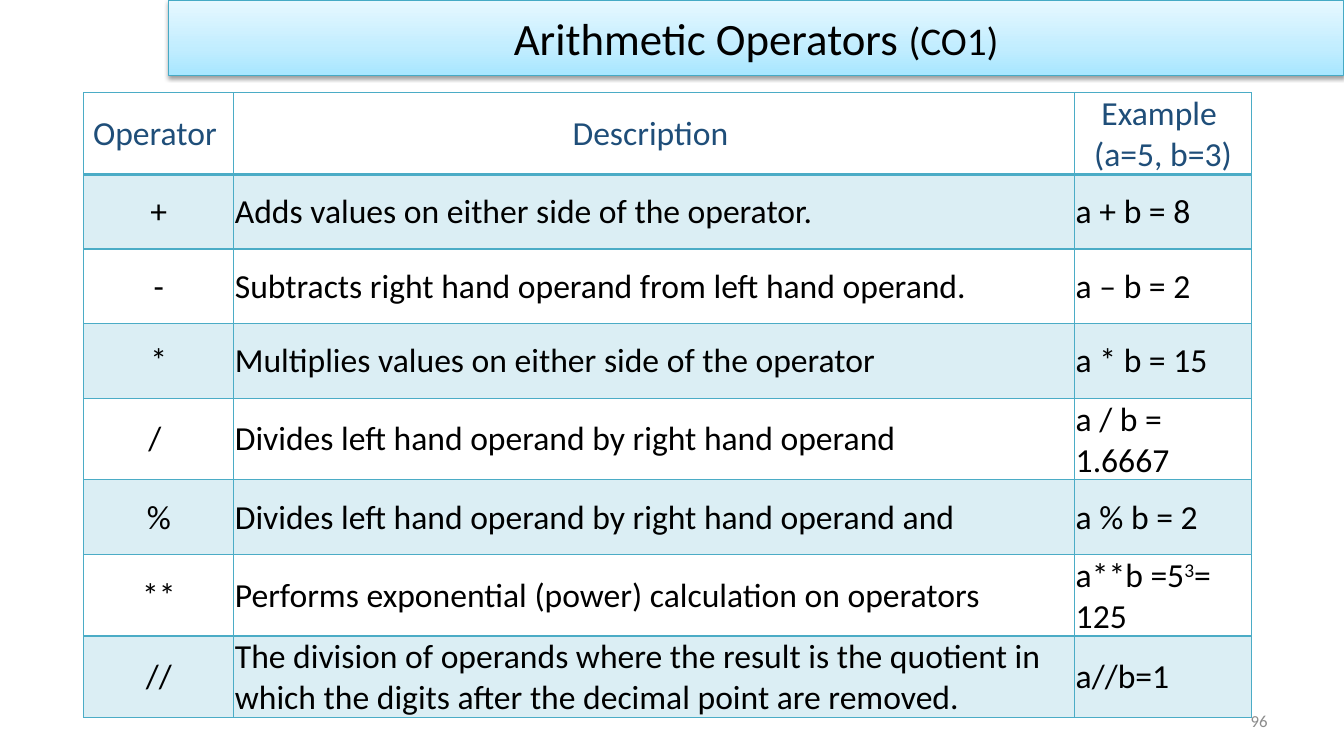
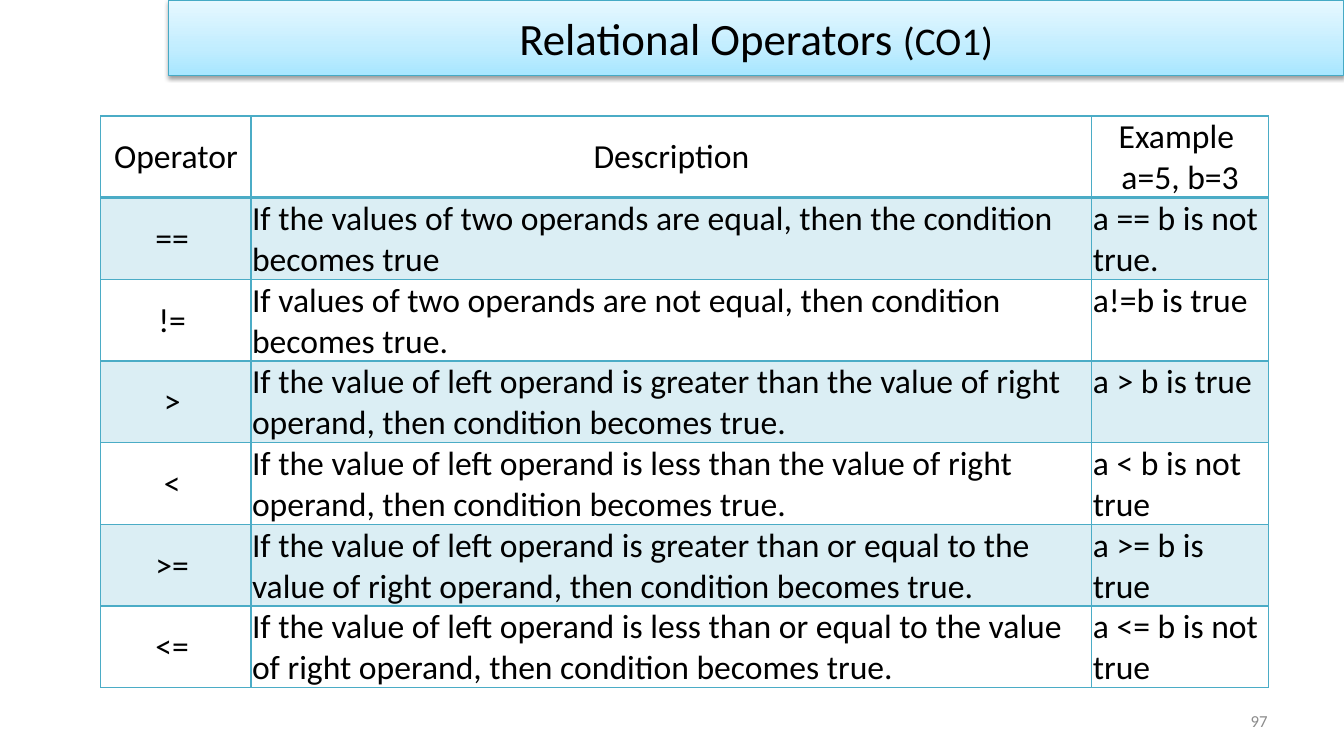
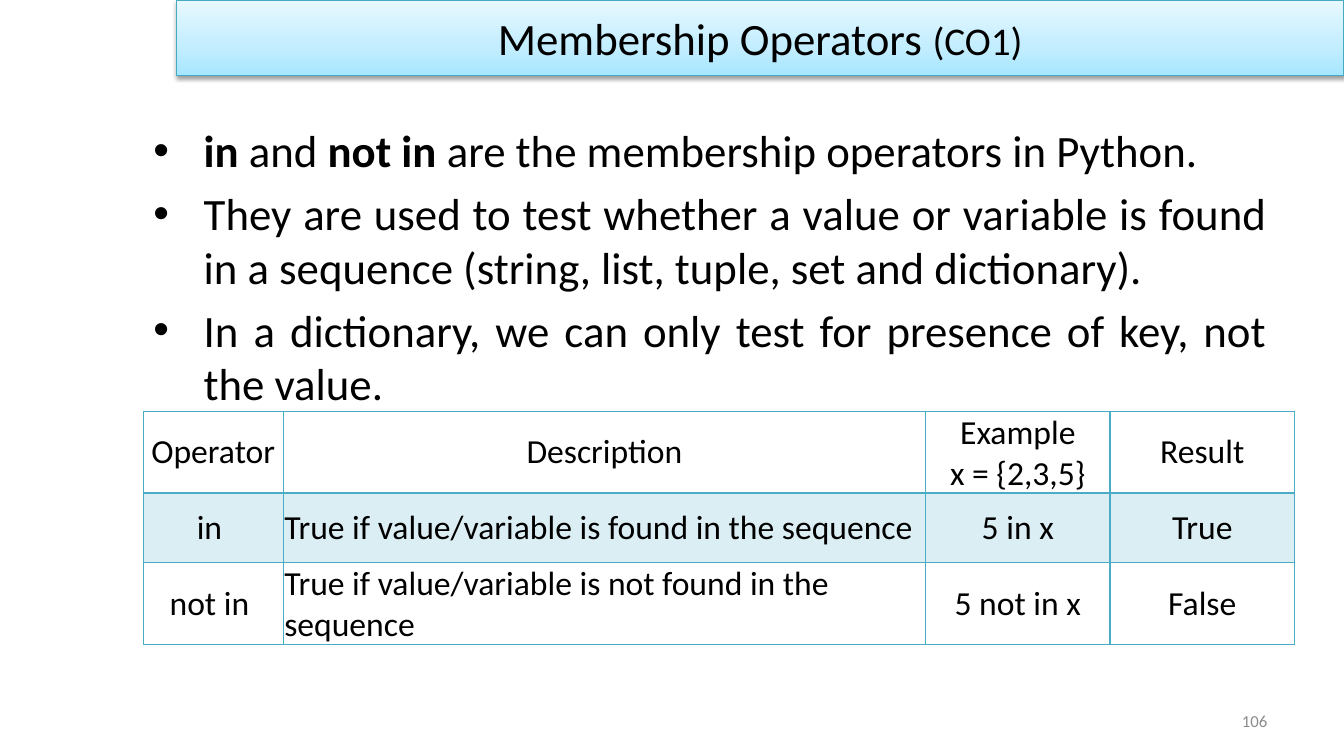
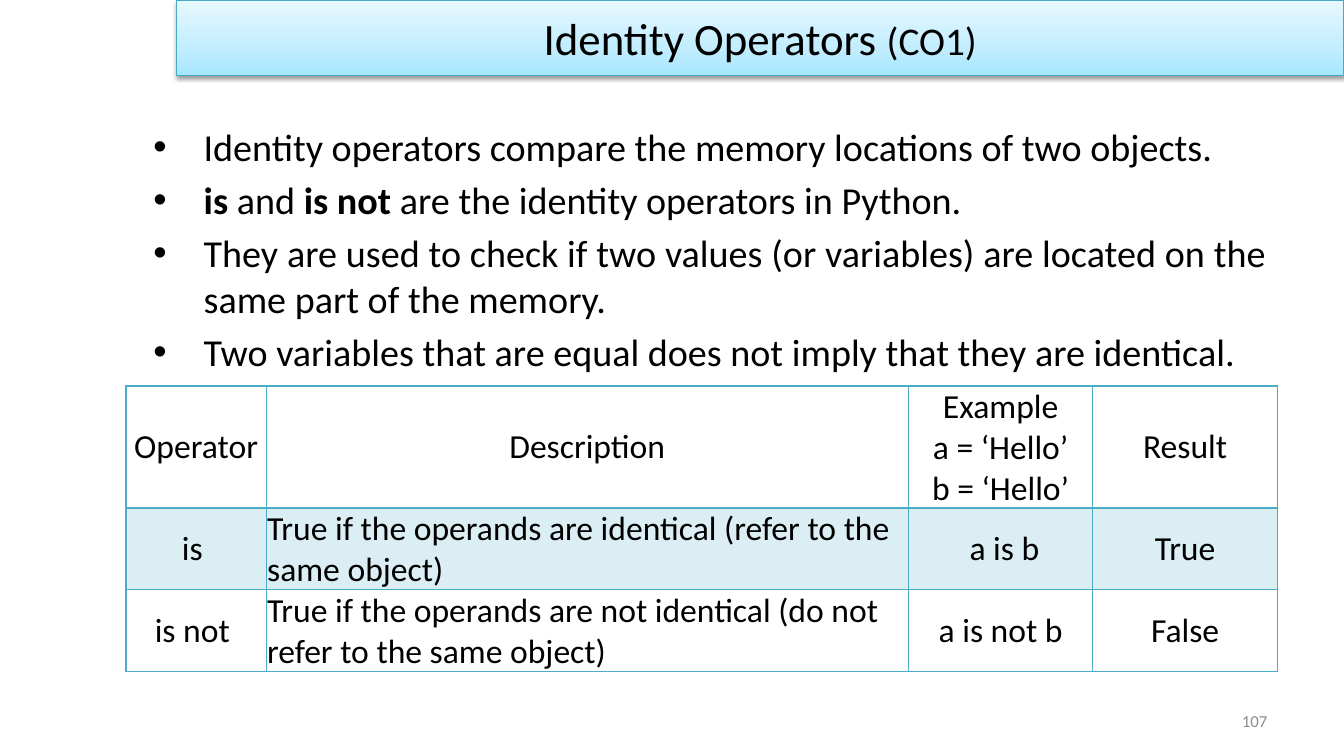
from lxml import etree
from pptx import Presentation
from pptx.dml.color import RGBColor
from pptx.enum.text import MSO_ANCHOR, MSO_AUTO_SIZE, PP_ALIGN
from pptx.oxml.ns import qn
from pptx.util import Inches, Pt

CENTER, LEFT, RIGHT, JUSTIFY = PP_ALIGN.CENTER, PP_ALIGN.LEFT, PP_ALIGN.RIGHT, PP_ALIGN.JUSTIFY
TOP, MIDDLE = MSO_ANCHOR.TOP, MSO_ANCHOR.MIDDLE
NO_AUTOFIT = MSO_AUTO_SIZE.NONE

BLACK = RGBColor(0x00, 0x00, 0x00)
NAVY = RGBColor(0x1F, 0x4E, 0x79)
GREY = RGBColor(0x8C, 0x8C, 0x8C)
TEAL = RGBColor(0x4B, 0xAC, 0xC6)
PALE_TEAL = RGBColor(0xDB, 0xEE, 0xF4)
BAND_EDGE = RGBColor(0x46, 0xAA, 0xC5)
BAND_STOPS = [
    (0, RGBColor(0xA7, 0xE6, 0xFF)),
    (35, RGBColor(0xC1, 0xED, 0xFF)),
    (100, RGBColor(0xE7, 0xF8, 0xFF)),
]

FONT = "Calibri"
SLIDE_WIDTH, SLIDE_HEIGHT = 13.33, 7.5
BAND_HEIGHT = 0.75
COURSE_TAG = "(CO1)"
BULLET_INDENT = 0.5
CONTENT_LAYOUT, TITLE_ONLY_LAYOUT = 1, 5
BOLD = {"bold": True}
SUPERSCRIPT = {"baseline": 30000}

THREE_COLUMNS = {
    "widths": [1.49, 8.34, 1.75],
    "aligns": [CENTER, LEFT, LEFT],
}
FOUR_COLUMNS = {
    "widths": [1.39, 6.37, 1.83, 1.83],
    "aligns": [CENTER, LEFT, CENTER, CENTER],
    "heights": [0.81, 0.69, 0.81],
}

# A text is a string, or a list of runs: a string or (string, format).
SLIDES = [
    {
        "title": "Arithmetic Operators ",
        "band_left": 1.67,
        "number": "96",
        "table": {
            **THREE_COLUMNS,
            "at": (0.83, 0.92),
            "heights": [0.74] * 8,
            "header_color": NAVY,
            "rows": [
                ["Operator ", "Description ", "Example \n(a=5, b=3)"],
                ["+", "Adds values on either side of the operator.", "a + b = 8"],
                ["-", "Subtracts right hand operand from left hand operand.", "a – b = 2"],
                ["*", "Multiplies values on either side of the operator", "a * b = 15"],
                ["/ ", "Divides left hand operand by right hand operand", "a / b = 1.6667"],
                ["%", "Divides left hand operand by right hand operand and", "a % b = 2"],
                ["**", "Performs exponential (power) calculation on operators",
                 ["a**b =5", ("3", SUPERSCRIPT), "= 125"]],
                ["//", "The division of operands where the result is the quotient in "
                       "which the digits after the decimal point are removed.", "a//b=1"],
            ],
        },
    },
    {
        "title": "Relational Operators ",
        "band_left": 1.67,
        "number": "97",
        "table": {
            **THREE_COLUMNS,
            "at": (1, 1.15),
            "heights": [0.74] * 7,
            "example_anchor": TOP,
            "rows": [
                ["Operator", "Description", "Example \na=5, b=3"],
                ["== ", "If the values of two operands are equal, then the condition "
                        "becomes true", "a == b is not true."],
                ["!= ", "If values of two operands are not equal, then condition "
                        "becomes true.", "a!=b is true"],
                ["> ", "If the value of left operand is greater than the value of right "
                       "operand, then condition becomes true.", "a > b is true"],
                ["< ", "If the value of left operand is less than the value of right "
                       "operand, then condition becomes true.", "a < b is not true"],
                [">= ", "If the value of left operand is greater than or equal to the "
                        "value of right operand, then condition becomes true.",
                 "a >= b is true"],
                ["<= ", "If the value of left operand is less than or equal to the value "
                        "of right operand, then condition becomes true.",
                 "a <= b is not true"],
            ],
        },
    },
    {
        "title": "Membership Operators ",
        "band_left": 1.75,
        "number": "106",
        "bullets": {
            "size": 32,
            "height": 2.92,
            "items": [
                [("in", BOLD), " and ", ("not in ", BOLD),
                 "are the membership operators in Python. "],
                "They are used to test whether a value or variable is found in a sequence "
                "(string, list, tuple, set and dictionary).",
                "In a dictionary, we can only test for presence of key, not the value.",
            ],
        },
        "table": {
            **FOUR_COLUMNS,
            "at": (1.42, 4.08),
            "rows": [
                ["Operator", "Description", "Example\nx = {2,3,5}", "Result"],
                ["in ", "True if value/variable is found in the sequence",
                 "5 in x", "True"],
                ["not in ", "True if value/variable is not found in the sequence",
                 "5 not in x", "False"],
            ],
        },
    },
    {
        "title": "Identity Operators ",
        "band_left": 1.75,
        "number": "107",
        "bullets": {
            "size": 27.2,
            "height": 2.58,
            "items": [
                "Identity operators compare the memory locations of two objects. ",
                [("is", BOLD), " and ", ("is not", BOLD),
                 " are the identity operators in Python."],
                "They are used to check if two values (or variables) are located on the "
                "same part of the memory. ",
                "Two variables that are equal does not imply that they are identical.",
            ],
        },
        "table": {
            **FOUR_COLUMNS,
            "at": (1.25, 3.83),
            "rows": [
                ["Operator", "Description", "Example\na = ‘Hello’\nb = ‘Hello’", "Result"],
                ["is ", "True if the operands are identical (refer to the same object)",
                 " a is b", "True"],
                ["is not ", "True if the operands are not identical (do not refer to the "
                            "same object)", "a is not b", "False"],
            ],
        },
    },
]


def set_attributes(target, values):
    for name, value in values.items():
        setattr(target, name, value)


def place(shape, left, top, width, height):
    set_attributes(shape, {
        "left": Inches(left), "top": Inches(top),
        "width": Inches(width), "height": Inches(height),
    })


def write_runs(paragraph, text, size, color=BLACK, align=LEFT):
    paragraph.alignment = align
    for part in [text] if isinstance(text, str) else text:
        words, extra = (part, {}) if isinstance(part, str) else part
        style = {"name": FONT, "size": Pt(size), "bold": False, **extra}
        baseline = style.pop("baseline", None)
        run = paragraph.add_run()
        run.text = words
        set_attributes(run.font, style)
        run.font.color.rgb = color
        if baseline:
            run.font._element.set("baseline", str(baseline))


def write_paragraphs(frame, texts, size, color=BLACK, align=LEFT):
    for index, text in enumerate(texts):
        paragraph = frame.add_paragraph() if index else frame.paragraphs[0]
        write_runs(paragraph, text, size, color, align)


def add_color(parent, color, alpha=None):
    element = etree.SubElement(parent, qn("a:srgbClr"), val=str(color))
    if alpha:
        etree.SubElement(element, qn("a:alpha"), val=str(alpha * 1000))


def format_title_band(title, text, left):
    place(title, left, 0, SLIDE_WIDTH - left, BAND_HEIGHT)
    set_attributes(title.text_frame, {
        "word_wrap": True, "auto_size": NO_AUTOFIT, "vertical_anchor": MIDDLE,
    })
    paragraph = title.text_frame.paragraphs[0]
    write_runs(paragraph, [text, (COURSE_TAG, {"size": Pt(28)})], 32, align=CENTER)

    title.fill.gradient()
    title.fill.gradient_angle = 90
    properties = title._element.spPr
    stops = properties.find(".//" + qn("a:gsLst"))
    stops.clear()
    for position, color in BAND_STOPS:
        add_color(etree.SubElement(stops, qn("a:gs"), pos=str(position * 1000)), color)
    title.line.color.rgb = BAND_EDGE
    title.line.width = Pt(0.75)

    effects = etree.SubElement(properties, qn("a:effectLst"))
    shadow = etree.SubElement(effects, qn("a:outerShdw"), blurRad=str(Pt(3.1)),
                              dist=str(Pt(1.6)), dir="5400000", rotWithShape="0")
    add_color(shadow, BLACK, alpha=38)


def add_slide_number(slide, number):
    box = slide.shapes.add_textbox(Inches(9.56), Inches(6.95), Inches(3.11), Inches(0.4))
    set_attributes(box.text_frame, {"word_wrap": True, "vertical_anchor": MIDDLE})
    write_runs(box.text_frame.paragraphs[0], number, 12, GREY, RIGHT)


def fill_bullets(body, bullets):
    place(body, 1.42, 1.17, 11.25, bullets["height"])
    frame = body.text_frame
    frame.auto_size = NO_AUTOFIT
    write_paragraphs(frame, bullets["items"], bullets["size"], align=JUSTIFY)
    indent = Inches(BULLET_INDENT)
    for paragraph in frame.paragraphs:
        properties = paragraph._p.get_or_add_pPr()
        properties.set("marL", str(indent))
        properties.set("indent", str(-indent))
    frame.paragraphs[0].space_before = Pt(0)


def set_borders(cell, widths):
    """Draw the cell edges; widths maps an edge letter to points."""
    properties = cell._tc.get_or_add_tcPr()
    for index, (edge, width) in enumerate(widths.items()):
        line = etree.Element(qn("a:ln" + edge), w=str(Pt(width)))
        add_color(etree.SubElement(line, qn("a:solidFill")), TEAL)
        properties.insert(index, line)


def add_operator_table(slide, content):
    rows, widths, heights = content["rows"], content["widths"], content["heights"]
    left, top = content["at"]
    table = slide.shapes.add_table(
        len(rows), len(widths), Inches(left), Inches(top),
        Inches(sum(widths)), Inches(sum(heights))).table
    table.horz_banding = False
    for column, width in zip(table.columns, widths):
        column.width = Inches(width)
    for row, height in zip(table.rows, heights):
        row.height = Inches(height)

    for r, texts in enumerate(rows):
        is_header = r == 0
        color = content.get("header_color", BLACK) if is_header else BLACK
        for c, text in enumerate(texts):
            cell = table.cell(r, c)
            is_example = not is_header and c == 2
            set_attributes(cell, {
                "margin_left": Inches(0.01), "margin_right": Inches(0.01),
                "margin_top": Inches(0.01), "margin_bottom": 0,
                "vertical_anchor": content.get("example_anchor", MIDDLE) if is_example else MIDDLE,
            })
            if r % 2:
                cell.fill.solid()
                cell.fill.fore_color.rgb = PALE_TEAL
            else:
                cell.fill.background()
            set_borders(cell, {"L": 1, "R": 1, "T": 2 if r == 1 else 1,
                               "B": 2 if is_header else 1})
            lines = text.split("\n") if isinstance(text, str) else [text]
            align = CENTER if is_header else content["aligns"][c]
            write_paragraphs(cell.text_frame, lines, 24, color, align)


def main():
    deck = Presentation()
    deck.slide_width, deck.slide_height = Inches(SLIDE_WIDTH), Inches(SLIDE_HEIGHT)
    for content in SLIDES:
        bullets = content.get("bullets")
        layout = deck.slide_layouts[CONTENT_LAYOUT if bullets else TITLE_ONLY_LAYOUT]
        slide = deck.slides.add_slide(layout)
        format_title_band(slide.shapes.title, content["title"], content["band_left"])
        if bullets:
            fill_bullets(slide.placeholders[1], bullets)
        add_slide_number(slide, content["number"])
        add_operator_table(slide, content["table"])
    deck.save("out.pptx")


if __name__ == "__main__":
    main()
